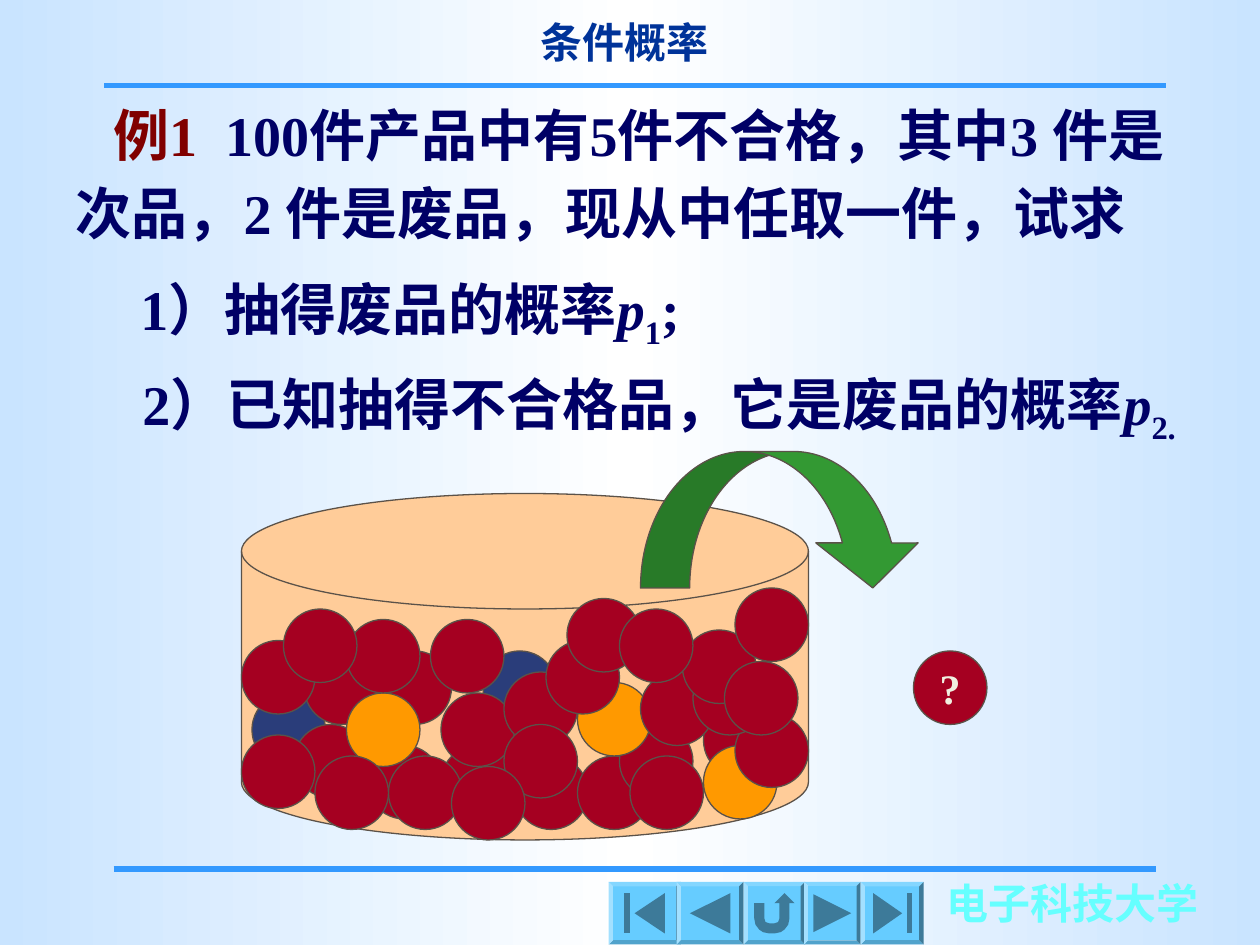
import copy

import pptx
import pptx.dml.color
import pptx.enum.shapes
import pptx.enum.text
import pptx.oxml
import pptx.oxml.ns
import pptx.util

Cm = pptx.util.Cm
Pt = pptx.util.Pt
MSO = pptx.enum.shapes.MSO_SHAPE
ALIGN = pptx.enum.text.PP_ALIGN

FONT = "Times New Roman"
GRID = 2.54 / 12
BALL = 7
COLORS = {
    "edge": "C9E4FF", "middle": "FFFFFF", "rule": "3399FF", "school": "66FFFF",
    "title": "003399", "body": "000066", "example": "800000", "button": "66CCFF",
    "icon": "3D7A99", "outline": "5B5249", "jar": "FFCC99", "good": "A50021",
    "scrap": "2A3D7A", "second": "FF9900", "arrow": "339933", "question": "F0EFE0",
}
BALLS = [
    (35, 71, "good"), (36, 62, "good"), (49, 72, "good"), (24, 66, "scrap"),
    (67, 67, "good"), (55, 72, "good"), (46, 62, "scrap"), (28, 69, "good"),
    (59, 69, "good"), (42, 71, "good"), (55, 65, "second"), (29, 62, "good"),
    (42, 66, "good"), (61, 64, "good"), (33, 66, "second"), (48, 64, "good"),
    (60, 72, "good"), (67, 71, "second"), (23, 61, "good"), (70, 68, "good"),
    (37, 72, "good"), (33, 59, "good"), (41, 59, "good"), (66, 63, "good"),
    (52, 61, "good"), (54, 57, "good"), (65, 60, "good"), (59, 58, "good"),
    (30, 72, "good"), (23, 70, "good"), (69, 63, "good"), (48, 69, "good"),
    (43, 73, "good"), (27, 58, "good"), (70, 56, "good"),
]
FIRST = [[(-8, 0), (16, -16), (16, 16)],
         [(-16, -16), (-12, -16), (-12, 16), (-16, 16)]]
BACK = [[(-16, 0), (16, -16), (16, 16)]]
RETURN = [[(-16, -8), (-8, -8), (-8, 4), (-7, 7), (-4, 8), (0, 8), (3, 7), (4, 4),
           (4, -8), (0, -8), (8, -16), (16, -8), (12, -8), (12, 4), (11, 9),
           (8, 13), (5, 15), (0, 16), (-4, 16), (-9, 15), (-12, 13), (-15, 9),
           (-16, 4)]]
NEXT = [[(-15, -15), (15, 0), (-15, 15)]]
LAST = [[(-15, -16), (8, 0), (-15, 16)],
        [(12, -16), (16, -16), (16, 16), (12, 16)]]
BUTTONS = [(FIRST, 12.27, 1.45), (BACK, 13.64, 1.35), (RETURN, 14.99, 1.24),
           (NEXT, 16.21, 1.14), (LAST, 17.35, 1.27)]


def rgb(name):
    return pptx.dml.color.RGBColor.from_string(COLORS[name])


def set_background(slide):
    fill = slide.background.fill
    fill.gradient()
    fill.gradient_angle = 0
    gs_list = slide.background._cSld.find(".//" + pptx.oxml.ns.qn("a:gsLst"))
    gs_list.append(copy.deepcopy(gs_list[0]))
    stops = zip(fill.gradient_stops, (0, 0.5, 1), ("edge", "middle", "edge"))
    for stop, position, color in stops:
        stop.position = position
        stop.color.rgb = rgb(color)


def add_run(p, text, size=32, color="body", italic=False, sub=False, spacing=0):
    r = p.add_run()
    r.text = text
    r.font.name = FONT
    r.font.size = Pt(size)
    r.font.bold = True
    r.font.italic = italic
    r.font.color.rgb = rgb(color)
    if sub:
        r._r.get_or_add_rPr().set("baseline", "-25000")
    if spacing:
        r._r.get_or_add_rPr().set("spc", str(spacing * 100))


def add_box(slide, x, y, w, h):
    tf = slide.shapes.add_textbox(Cm(x), Cm(y), Cm(w), Cm(h)).text_frame
    tf.word_wrap = True
    tf.auto_size = pptx.enum.text.MSO_AUTO_SIZE.SHAPE_TO_FIT_TEXT
    return tf


def add_rule(slide, x1, x2, y):
    line = slide.shapes.add_connector(
        pptx.enum.shapes.MSO_CONNECTOR.STRAIGHT, Cm(x1), Cm(y), Cm(x2), Cm(y))
    line.line.color.rgb = rgb("rule")
    line.line.width = Pt(3)
    line._element.spPr.append(pptx.oxml.parse_xml(
        "<a:effectLst %s/>" % pptx.oxml.ns.nsdecls("a")))


def paint(sp, color, outline=False):
    sp.shadow.inherit = False
    sp.fill.solid()
    sp.fill.fore_color.rgb = rgb(color)
    if outline:
        sp.line.color.rgb = rgb("outline")
        sp.line.width = Pt(0.75)
    else:
        sp.line.fill.background()


def add_on_grid(shapes, kind, x, y, w, h, color):
    sp = shapes.add_shape(kind, *(Cm(n * GRID) for n in (x, y, w, h)))
    paint(sp, color, outline=True)
    return sp


def add_button(slide, icon, x, w, y=17.78, h=1.26):
    sp = slide.shapes.add_shape(MSO.BEVEL, Cm(x), Cm(y), Cm(w), Cm(h))
    sp.adjustments[0] = 0.07
    paint(sp, "button")
    for points in icon:
        builder = slide.shapes.build_freeform(*points[0], scale=Cm(0.0254))
        builder.add_line_segments(points[1:], close=True)
        paint(builder.convert_to_shape(Cm(x + w / 2), Cm(y + h / 2)), "icon")


def add_problem(slide):
    tf = add_box(slide, 1.27, 1.9, 24.13, 4.5)
    p = tf.paragraphs[0]
    pPr = p._p.get_or_add_pPr()
    pPr.set("marL", "0")
    pPr.set("indent", str(Cm(0.76)))
    add_run(p, "例1", color="example")
    add_run(p, " ", spacing=8)
    add_run(p, "100件产品中有5件不合格，其中3 件是")
    p = tf.add_paragraph()
    p.line_spacing = 0.6
    p.space_before = Pt(20)
    add_run(p, "次品，2 件是废品，现从中任取一件，试求")


def add_question(slide, x, y, w, text, index, ending=""):
    p = add_box(slide, x, y, w, 2.1).paragraphs[0]
    p.line_spacing = 1.2
    add_run(p, text)
    add_run(p, "p", italic=True)
    add_run(p, index, sub=True)
    if ending:
        add_run(p, ending)


def add_jar(slide):
    shapes = slide.shapes.add_group_shape().shapes
    add_on_grid(shapes, MSO.FLOWCHART_MAGNETIC_DISK, 23, 47, 54, 33, "jar")
    for x, y, color in BALLS:
        add_on_grid(shapes, MSO.OVAL, x, y, BALL, BALL, color)


def add_drawn_ball(slide):
    sp = add_on_grid(slide.shapes, MSO.OVAL, 87, 62, BALL, BALL, "good")
    tf = sp.text_frame
    tf.word_wrap = False
    tf.vertical_anchor = pptx.enum.text.MSO_ANCHOR.MIDDLE
    p = tf.paragraphs[0]
    p.alignment = ALIGN.CENTER
    add_run(p, "?", size=24, color="question")


def add_arrow(slide):
    sp = add_on_grid(slide.shapes, MSO.CURVED_DOWN_ARROW, 61, 43, 27, 13, "arrow")
    for i, value in enumerate((0.36, 0.75, 0.33)):
        sp.adjustments[i] = value


def main():
    prs = pptx.Presentation()
    prs.slide_width, prs.slide_height = Cm(25.4), Cm(19.05)
    slide = prs.slides.add_slide(prs.slide_layouts[6])
    set_background(slide)

    add_rule(slide, 2.29, 23.3, 17.52)
    p = add_box(slide, 18.84, 17.57, 6, 1.27).paragraphs[0]
    add_run(p, "电子科技大学", size=24, color="school")
    p = add_box(slide, 8.48, 0.2, 8.23, 1.27).paragraphs[0]
    p.alignment = ALIGN.CENTER
    add_run(p, "条件概率", size=24, color="title")
    add_rule(slide, 2.1, 23.5, 1.72)

    add_problem(slide)
    add_question(slide, 2.58, 5.11, 12.5, "1）抽得废品的概率", "1", ";")
    add_question(slide, 2.62, 7.02, 22.5, "2）已知抽得不合格品，它是废品的概率", "2.")

    for icon, x, w in BUTTONS:
        add_button(slide, icon, x, w)
    add_drawn_ball(slide)
    add_jar(slide)
    add_arrow(slide)
    prs.save("out.pptx")


if __name__ == "__main__":
    main()
